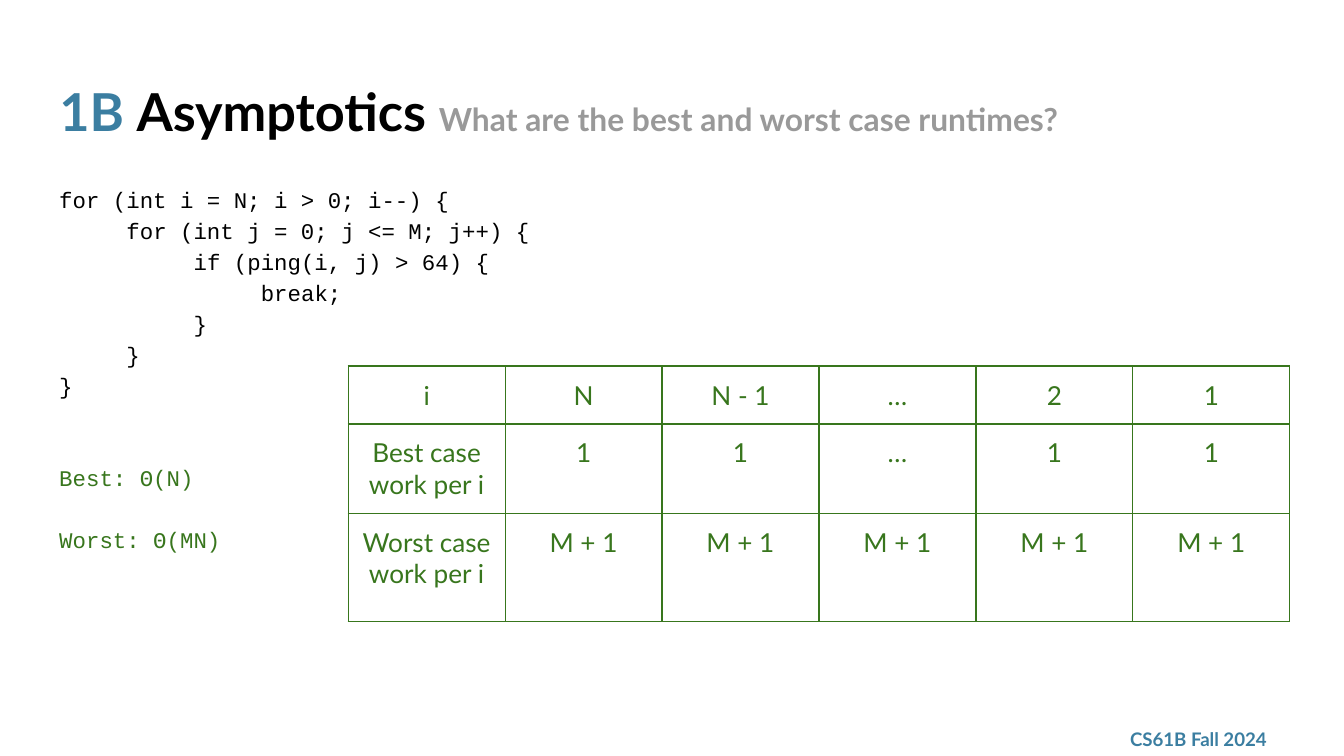
from lxml.etree import SubElement
from pptx import Presentation
from pptx.dml.color import RGBColor
from pptx.enum.text import MSO_ANCHOR, MSO_AUTO_SIZE, PP_ALIGN
from pptx.oxml.ns import qn
from pptx.util import Cm, Pt

COLORS = {
    "accent": "3B7EA1",
    "text": "000000",
    "muted": "999999",
    "answer": "38761D",
}
INSET = Cm(0.25)
TITLE_PARTS = [
    ("1B ", 28, "accent"),
    ("Asymptotics ", 28, "text"),
    ("What are the best and worst case runtimes?", 17, "muted"),
]
CODE_LINES = [
    "for (int i = N; i > 0; i--) {",
    "\tfor (int j = 0; j <= M; j++) {",
    "\t\tif (ping(i, j) > 64) {",
    "\t\t\tbreak;",
    "\t\t}",
    "\t}",
    "}",
]
ANSWERS = [("Best: Θ(N)", 33), ("Worst: Θ(MN)", 16.5)]
WORK_ROWS = [
    ["i", "N", "N - 1", "…", "2", "1"],
    ["Best case work per i", "1", "1", "…", "1", "1"],
    ["Worst case work per i"] + ["M + 1"] * 5,
]
ROW_HEIGHTS = [1, 1.5, 2.04]


def format_run(run, font_name, size, color, bold=False):
    run.font.name = font_name
    run.font.size = Pt(size)
    run.font.bold = bold
    run.font.color.rgb = RGBColor.from_string(COLORS[color])


def prepare_frame(text_frame, anchor):
    text_frame.word_wrap = True
    text_frame.auto_size = MSO_AUTO_SIZE.NONE
    text_frame.vertical_anchor = anchor
    text_frame.margin_left = text_frame.margin_right = INSET
    text_frame.margin_top = text_frame.margin_bottom = INSET


def place_title(slide, left, top, width, height):
    title = slide.shapes.title
    title.left, title.top, title.width, title.height = left, top, width, height
    prepare_frame(title.text_frame, MSO_ANCHOR.TOP)
    paragraph = title.text_frame.paragraphs[0]
    paragraph.alignment = PP_ALIGN.LEFT
    for text, size, color in TITLE_PARTS:
        run = paragraph.add_run()
        run.text = text
        format_run(run, "Lato", size, color, bold=True)


def add_code(slide, left, top, width, height):
    text_frame = slide.shapes.add_textbox(left, top, width, height).text_frame
    prepare_frame(text_frame, MSO_ANCHOR.TOP)
    lines = [(line, 0, "text") for line in CODE_LINES]
    lines += [(answer, gap, "answer") for answer, gap in ANSWERS]
    text_frame.text = "\n".join(line for line, _, _ in lines)
    for paragraph, (_, gap, color) in zip(text_frame.paragraphs, lines):
        paragraph.line_spacing = 1.15
        paragraph.space_before = Pt(gap)
        for run in paragraph.runs:
            format_run(run, "Courier New", 12, color)


def add_borders(cell, color):
    properties = cell._tc.get_or_add_tcPr()
    for index, side in enumerate(("a:lnL", "a:lnR", "a:lnT", "a:lnB")):
        line = SubElement(properties, qn(side), w=str(Pt(0.75)))
        properties.insert(index, line)
        fill = SubElement(line, qn("a:solidFill"))
        SubElement(fill, qn("a:srgbClr"), val=COLORS[color])


def add_work_table(slide, left, top, width):
    column_count = len(WORK_ROWS[0])
    table = slide.shapes.add_table(
        len(WORK_ROWS), column_count, left, top, width, Cm(sum(ROW_HEIGHTS))
    ).table
    table.first_row = False
    table.horz_banding = False
    for column in table.columns:
        column.width = width // column_count
    for row, height, texts in zip(table.rows, ROW_HEIGHTS, WORK_ROWS):
        row.height = Cm(height)
        for cell, text in zip(row.cells, texts):
            cell.fill.background()
            cell.margin_left = cell.margin_right = INSET
            cell.margin_top = cell.margin_bottom = INSET
            cell.text_frame.text = text
            paragraph = cell.text_frame.paragraphs[0]
            paragraph.alignment = PP_ALIGN.CENTER
            format_run(paragraph.runs[0], "Lato", 14, "answer")
            add_borders(cell, "answer")


def add_footer(slide, left, top, width, height):
    text_frame = slide.shapes.add_textbox(left, top, width, height).text_frame
    prepare_frame(text_frame, MSO_ANCHOR.MIDDLE)
    text_frame.text = "CS61B Fall 2024"
    format_run(text_frame.paragraphs[0].runs[0], "Lato", 10, "accent", bold=True)


def main():
    presentation = Presentation()
    presentation.slide_width = Cm(25.4)
    presentation.slide_height = Cm(14.29)
    slide = presentation.slides.add_slide(presentation.slide_layouts[5])
    left, width = Cm(0.87), Cm(23.67)
    add_footer(slide, Cm(21.11), Cm(13.64), Cm(3.43), Cm(0.66))
    place_title(slide, left, Cm(1.24), width, Cm(1.6))
    add_code(slide, left, Cm(3.2), width, Cm(9.5))
    add_work_table(slide, Cm(6.58), Cm(6.92), Cm(17.8))
    presentation.save("out.pptx")


if __name__ == "__main__":
    main()
